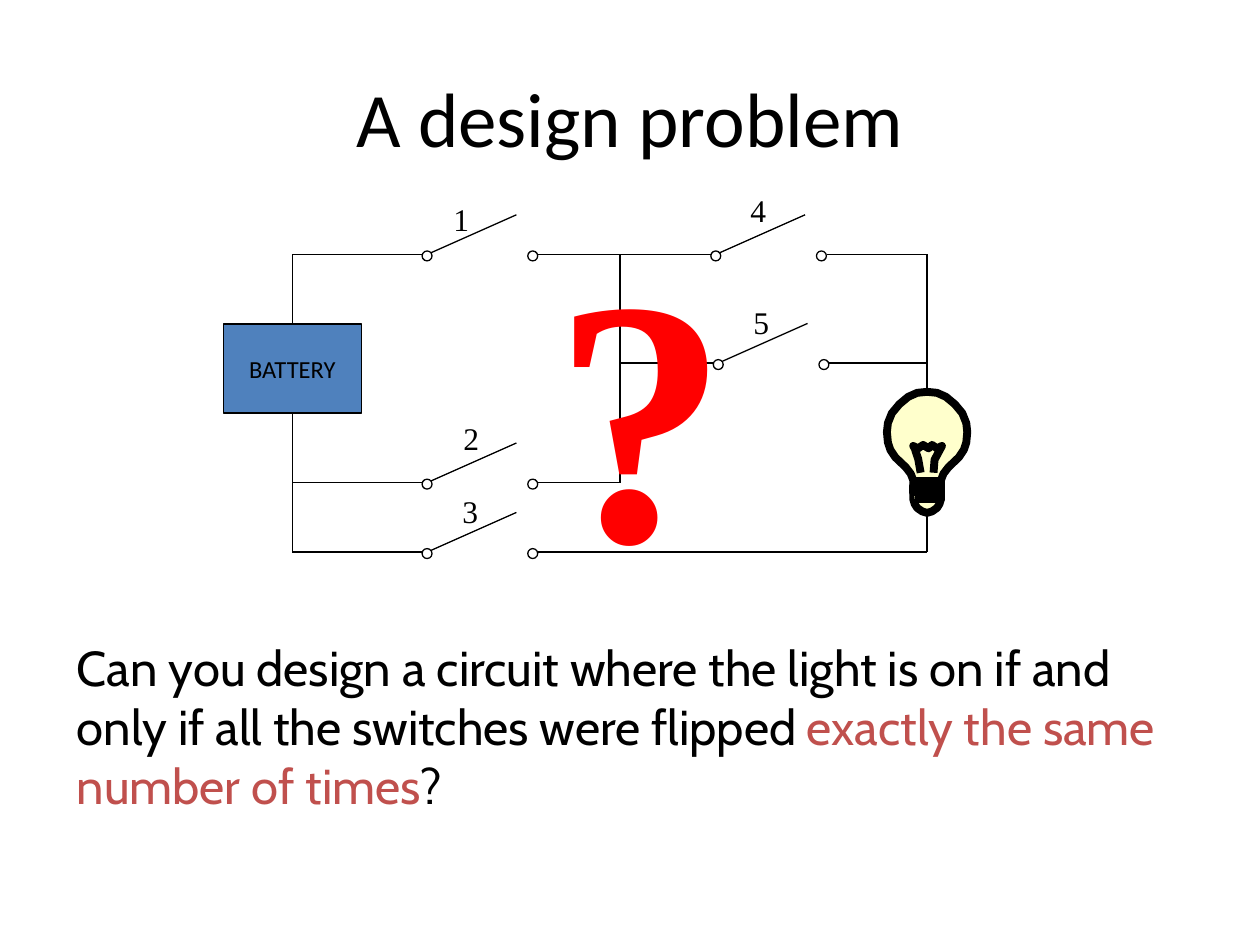
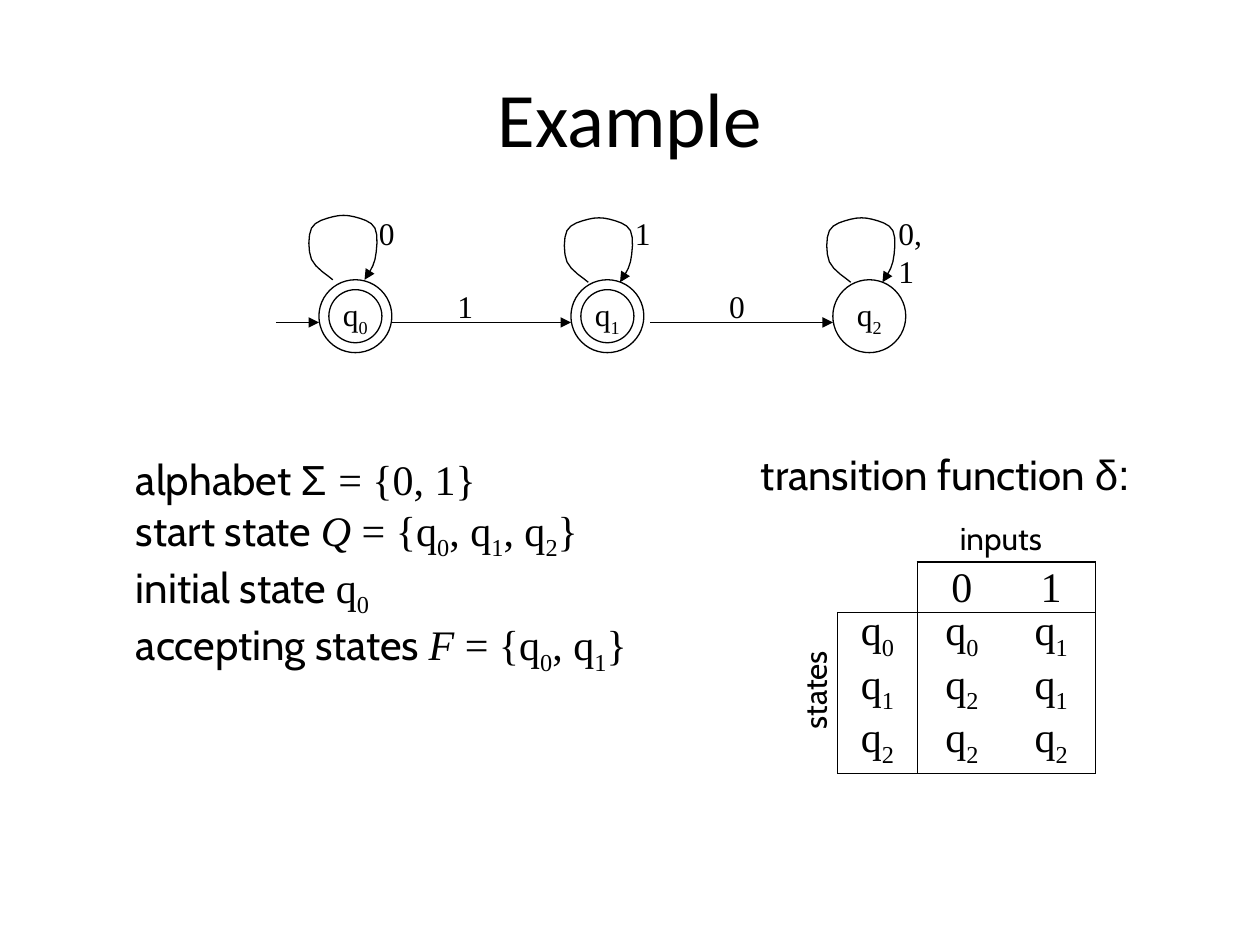
import dataclasses

import pptx
import pptx.dml.color
import pptx.enum.shapes
import pptx.enum.text
import pptx.oxml
import pptx.oxml.ns
import pptx.util

Cm = pptx.util.Cm
Pt = pptx.util.Pt
SHAPE = pptx.enum.shapes.MSO_SHAPE
ANCHOR = pptx.enum.text.MSO_ANCHOR
CENTER = pptx.enum.text.PP_ALIGN.CENTER

BLACK, WHITE, RED = "000000", "FFFFFF", "FF0000"
BLUE, BRICK, CREAM = "4F81BD", "C0504D", "FFFFCC"
SERIF, SANS, BODY, GREEK = "Times New Roman", "Calibri", "Cabin", "Arial"


def rgb(value):
    return pptx.dml.color.RGBColor.from_string(value)


def lengths(values):
    return [Cm(value) for value in values]


@dataclasses.dataclass
class Words:
    text: str
    font: str = SERIF
    color: str = BLACK
    italic: bool = False
    bold: bool = False


def apply_look(font, words):
    font.name = words.font
    font.color.rgb = rgb(words.color)
    font.italic = words.italic
    font.bold = words.bold


def write(paragraph, pieces, size, align=None):
    if align is not None:
        paragraph.alignment = align
    paragraph.font.size = Pt(size)
    apply_look(paragraph.font, pieces[0])
    uniform = all(dataclasses.replace(piece, text="") == dataclasses.replace(pieces[0], text="")
                  for piece in pieces)
    for piece in pieces:
        plain, *marked = piece.text.split("_")
        parts = [(plain, False)]
        for tail in marked:
            parts += [(tail[0], True), (tail[1:], False)]
        for text, subscript in parts:
            if not text:
                continue
            run = paragraph.add_run()
            run.text = text
            if not uniform:
                apply_look(run.font, piece)
            if subscript:
                run._r.get_or_add_rPr().set("baseline", "-25000")


def spline(knots, steps=4):
    padded = [knots[0], *knots, knots[-1]]
    points = [knots[0]]
    for a, b, c, d in zip(padded, padded[1:], padded[2:], padded[3:]):
        for step in range(1, steps + 1):
            t = step / steps
            points.append(tuple(
                (2 * q + (r - p) * t + (2 * p - 5 * q + 4 * r - s) * t ** 2
                 + (3 * q - p - 3 * r + s) * t ** 3) / 2
                for p, q, r, s in zip(a, b, c, d)))
    return points


class Deck:
    def __init__(self):
        self.show = pptx.Presentation()
        self.show.slide_width, self.show.slide_height = Cm(25.4), Cm(19.05)
        self.slide = None

    def new_slide(self, heading):
        self.slide = self.show.slides.add_slide(self.show.slide_layouts[5])
        title = self.slide.shapes.title
        title.left, title.top, title.width, title.height = lengths((1.27, 0.76, 22.86, 3.18))
        title.text_frame.vertical_anchor = ANCHOR.MIDDLE
        write(title.text_frame.paragraphs[0], [Words(heading, SANS)], 44, CENTER)

    def text(self, box, paragraphs, size=18, wrap=False, rotation=0):
        holder = self.slide.shapes.add_textbox(*lengths(box))
        holder.rotation = rotation
        frame = holder.text_frame
        frame.word_wrap = wrap
        frame.auto_size = pptx.enum.text.MSO_AUTO_SIZE.SHAPE_TO_FIT_TEXT
        for index, pieces in enumerate(paragraphs):
            write(frame.add_paragraph() if index else frame.paragraphs[0], pieces, size)

    def label(self, left, top, text, width=0.81, wrap=False):
        self.text((left, top, width, 1.02), [[Words(text)]], wrap=wrap)

    def outline(self, shape, fill=None, weight=0.75):
        shape.shadow.inherit = False
        if fill:
            shape.fill.solid()
            shape.fill.fore_color.rgb = rgb(fill)
        else:
            shape.fill.background()
        shape.line.color.rgb = rgb(BLACK)
        shape.line.width = Pt(weight)

    def shape(self, kind, box, fill=None, words=None, size=18):
        shape = self.slide.shapes.add_shape(kind, *lengths(box))
        self.outline(shape, fill)
        if words:
            frame = shape.text_frame
            frame.margin_left = frame.margin_right = frame.margin_top = frame.margin_bottom = 0
            frame.vertical_anchor = ANCHOR.MIDDLE
            frame.word_wrap = False
            write(frame.paragraphs[0], [words], size, CENTER)

    def add_arrowhead(self, line):
        line._get_or_add_ln().append(pptx.oxml.parse_xml(
            f'<a:tailEnd {pptx.oxml.ns.nsdecls("a")} type="triangle"/>'))

    def line(self, x1, y1, x2, y2, arrow=False):
        line = self.slide.shapes.add_connector(
            pptx.enum.shapes.MSO_CONNECTOR.STRAIGHT, *lengths((x1, y1, x2, y2)))
        line.line.color.rgb = rgb(BLACK)
        line.line.width = Pt(0.75)
        line._element.spPr.append(
            pptx.oxml.parse_xml(f'<a:effectLst {pptx.oxml.ns.nsdecls("a")}/>'))
        if arrow:
            line.line._get_or_add_ln().append(pptx.oxml.parse_xml(
                f'<a:tailEnd {pptx.oxml.ns.nsdecls("a")} type="triangle"/>'))

    def freeform(self, origin, points, fill=None, weight=0.75, close=False, arrow=False):
        placed = [(Cm(origin[0] + x), Cm(origin[1] + y)) for x, y in points]
        builder = self.slide.shapes.build_freeform(*placed[0])
        builder.add_line_segments(placed[1:], close=close)
        shape = builder.convert_to_shape()
        self.outline(shape, fill, weight)
        if arrow:
            self.add_arrowhead(shape.line)

    def table(self, left, top, widths, heights, rows, edges):
        table = self.slide.shapes.add_table(
            len(rows), len(widths), *lengths((left, top, sum(widths), sum(heights)))).table
        table.first_row = table.horz_banding = False
        for column, width in zip(table.columns, widths):
            column.width = Cm(width)
        for r, (row, height, texts) in enumerate(zip(table.rows, heights, rows)):
            row.height = Cm(height)
            for c, text in enumerate(texts):
                cell = table.cell(r, c)
                cell.margin_left = cell.margin_right = cell.margin_top = cell.margin_bottom = 0
                paragraph = cell.text_frame.paragraphs[0]
                paragraph.line_spacing = Pt(28)
                write(paragraph, [Words(text)], 24, CENTER)
                self.borders(cell, edges(r, c))
                cell.fill.background()

    def borders(self, cell, drawn):
        properties = cell._tc.get_or_add_tcPr()
        for side in "LRTB":
            paint = (f'<a:solidFill><a:srgbClr val="{BLACK}"/></a:solidFill>'
                     if side in drawn else "<a:noFill/>")
            properties.append(pptx.oxml.parse_xml(
                f'<a:ln{side} {pptx.oxml.ns.nsdecls("a")} w="{Pt(0.75)}">{paint}</a:ln{side}>'))


def draw_switch(deck, x, y):
    deck.line(x, y, x + 1.8, y - 0.8)
    for contact in (x, x + 2.13):
        deck.shape(SHAPE.OVAL, (contact - 0.1, y - 0.07, 0.2, 0.2), WHITE)


def draw_bulb(deck, x):
    right = [(0, 10.34), (0.1, 10.31), (0.2, 10.24), (0.25, 10.16), (0.28, 10.06),
             (0.28, 9.68), (0.33, 9.55), (0.43, 9.42), (0.64, 9.22), (0.74, 9.07),
             (0.79, 8.92), (0.81, 8.71), (0.79, 8.53), (0.71, 8.33), (0.56, 8.15),
             (0.38, 8), (0.2, 7.92), (0, 7.9)]
    left = [(-dx, y) for dx, y in reversed(right[1:-1])]
    filament = [(-0.13, 9.53), (-0.18, 9.25), (-0.25, 9.04), (-0.28, 8.99), (-0.18, 9.04),
                (-0.08, 8.97), (0.03, 9.04), (0.1, 8.97), (0.2, 9.04), (0.3, 8.99),
                (0.15, 9.27), (0.13, 9.53)]
    socket = [(-0.28, 9.7), (0.28, 9.7), (0.28, 9.8), (-0.28, 9.8),
              (-0.28, 9.93), (0.28, 9.93), (0.28, 10.06), (-0.25, 10.06)]
    deck.freeform((x, 0), right + left, CREAM, 4.5, close=True)
    for part in (filament, socket):
        deck.freeform((x, 0), part, CREAM, 4.5)


def design_problem(deck):
    deck.new_slide("A design problem")
    deck.text((1.3, 12.73, 23.01, 3.81), [[
        Words("Can you design a circuit where the light is on if and only if all the "
              "switches were flipped ", BODY),
        Words("exactly the same number of times", BODY, BRICK),
        Words("?", BODY)]], 28, wrap=True)

    upper, middle, lower, bottom = 5.13, 7.32, 9.73, 11.13
    battery, junction, bulb = 5.89, 12.5, 18.69
    first, second, span = 8.61, 14.45, 2.13
    horizontal = [(upper, battery, first), (lower, battery, first), (bottom, battery, first),
                  (upper, first + span, second), (lower, first + span, junction),
                  (bottom, first + span, bulb), (middle, junction, second),
                  (upper, second + span + 0.1, bulb), (middle, second + span + 0.1, bulb)]
    vertical = [(battery, upper, 6.53), (battery, 8.33, bottom),
                (junction, upper, lower), (bulb, upper, bottom)]
    for y, start, end in horizontal:
        deck.line(start, y, end, y)
    for x, start, end in vertical:
        deck.line(x, start, x, end)
    deck.shape(SHAPE.RECTANGLE, (4.5, 6.53, 2.79, 1.8), BLUE, Words("BATTERY", SANS), 14)

    switches = [("1", first, upper, 8.89, 3.91), ("2", first, lower, 9.09, 8.33),
                ("3", first, bottom, 9.07, 9.8), ("4", second - 0.02, upper, 14.88, 3.73),
                ("5", second + 0.03, middle, 14.94, 5.99)]
    for number, x, y, label_left, label_top in switches:
        draw_switch(deck, x, y)
        deck.label(label_left, label_top, number)
    draw_bulb(deck, bulb)
    deck.text((10.9, 3.73, 3.45, 8.71), [[Words("?", color=RED, bold=True)]], 200)


def table_edges(r, c):
    return {side for side, drawn in (
        ("L", c == 1 or c == 0 and r > 0), ("R", c in (0, 2)),
        ("T", r == 1 or r == 0 and c > 0), ("B", r in (0, 3))) if drawn}


def example(deck):
    deck.new_slide("Example")
    loop = spline([(0, 0), (-0.43, -0.41), (-0.43, -1.04), (0, -1.27),
                   (0.43, -1.27), (0.85, -1.04), (0.85, -0.41), (0.64, 0)])
    size, inset, top = 1.47, 0.2, 5.64
    states = [("q_0", 6.43, True, (6.71, 5.64), "0", 7.39),
              ("q_1", 11.51, True, (11.86, 5.69), "1", 12.55),
              ("q_2", 16.79, False, (17.15, 5.69), "0,1", 17.86)]
    for name, x, accepting, loop_start, symbols, symbols_left in states:
        deck.shape(SHAPE.OVAL, (x, top, size, size), words=Words(name))
        if accepting:
            inner = size - 2 * inset
            deck.shape(SHAPE.OVAL, (x + inset, top + inset, inner, inner))
        deck.freeform(loop_start, loop, arrow=True)
        several = len(symbols) > 1
        deck.label(symbols_left, 4.19, symbols, 1.24 if several else 0.81, wrap=several)
    for start, end in ((5.56, 6.43), (7.9, 11.51), (13.11, 16.79)):
        deck.line(start, 6.5, end, 6.5, arrow=True)
    deck.label(8.97, 5.66, "1")
    deck.label(14.45, 5.66, "0")

    deck.text((2.49, 9.02, 10.62, 4.32), [
        [Words("alphabet ", BODY), Words("Σ ", GREEK), Words("= {0, 1}")],
        [Words("start state ", BODY), Words("Q", italic=True), Words(" = {q_0, q_1, q_2}")],
        [Words("initial state ", BODY), Words("q_0")],
        [Words("accepting states ", BODY), Words("F", italic=True), Words(" = {q_0, q_1}")],
    ], 24)
    deck.text((15.09, 8.92, 8.1, 1.27),
              [[Words("transition function ", BODY), Words("δ:", GREEK)]], 24)
    deck.text((19.1, 10.34, 2.18, 1.02), [[Words("inputs", BODY)]])
    deck.text((15.34, 13.36, 2.16, 1.02), [[Words("states", BODY)]], rotation=270)
    deck.table(16.89, 11.33, (1.6, 1.8, 1.8), (0.99, 1.08, 1.08, 1.08),
               [("", "0", "1"), ("q_0", "q_0", "q_1"),
                ("q_1", "q_2", "q_1"), ("q_2", "q_2", "q_2")], table_edges)


def main():
    deck = Deck()
    design_problem(deck)
    example(deck)
    deck.show.save("out.pptx")


if __name__ == "__main__":
    main()
